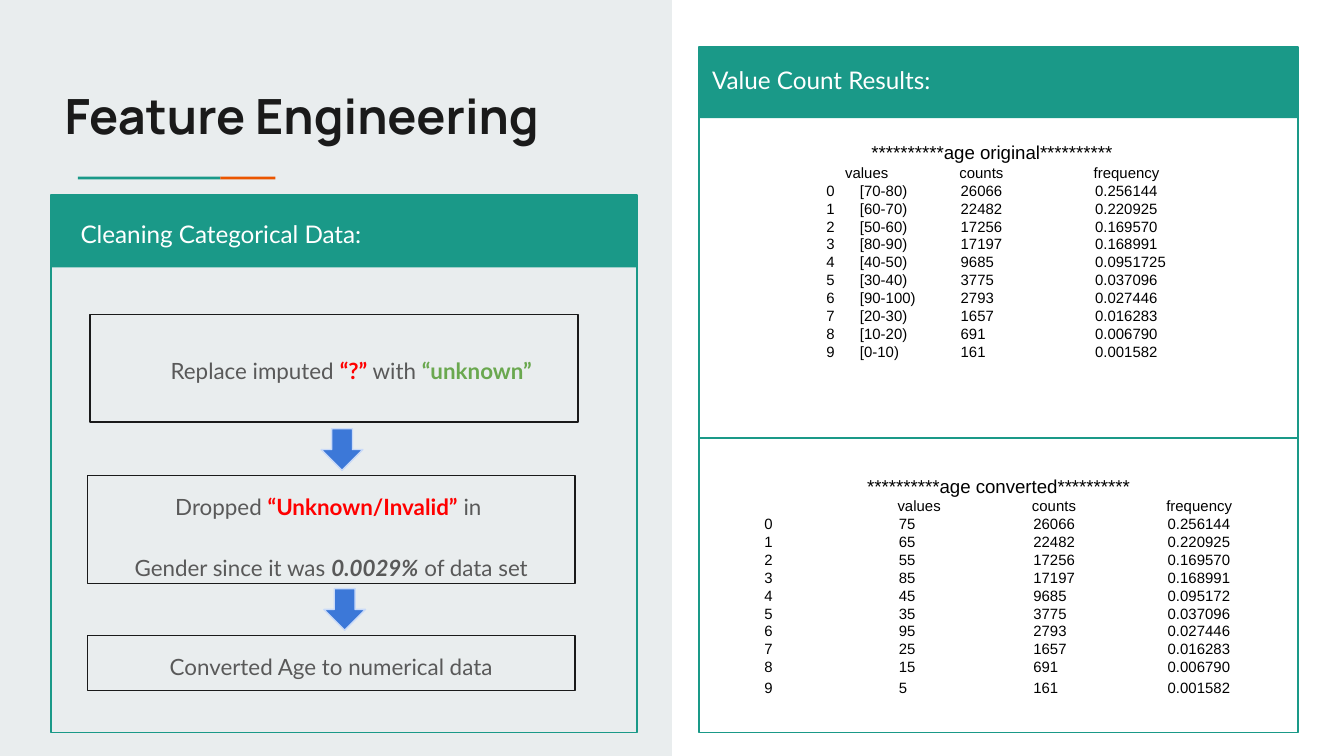
from lxml.etree import SubElement
from pptx import Presentation
from pptx.dml.color import RGBColor
from pptx.enum.shapes import MSO_SHAPE
from pptx.enum.text import MSO_ANCHOR, MSO_AUTO_SIZE, PP_ALIGN
from pptx.oxml.ns import qn
from pptx.util import Inches, Pt

UNIT = 0.1  # grid of 100 columns by 56.2 rows
TEAL, ORANGE, PALE, WHITE = "1A9988", "EB5600", "E9EDEE", "FFFFFF"
INK, GREY, BLACK, RED, GREEN = "1A1A1A", "595959", "000000", "FF0000", "6AA84F"
BLUE, LIGHT_BLUE = "3C78D8", "C9DAF8"

COUNTS = [26066, 22482, 17256, 17197, 9685, 3775, 2793, 1657, 691, 161]
SHARES = ["0.256144", "0.220925", "0.169570", "0.168991", "0.095172",
          "0.037096", "0.027446", "0.016283", "0.006790", "0.001582"]
RANGES = ["[70-80)", "[60-70)", "[50-60)", "[80-90)", "[40-50)",
          "[30-40)", "[90-100)", "[20-30)", "[10-20)", "[0-10)"]
AGES = [75, 65, 55, 85, 45, 35, 95, 25, 15, 5]


def colour(hex_text):
    return RGBColor.from_string(hex_text)


def grid(n):
    return Inches(n * UNIT)


def add_shape(s, box, fill=None, line=None, kind=MSO_SHAPE.RECTANGLE):
    sp = s.shapes.add_shape(kind, *map(grid, box))
    sp.shadow.inherit = False
    if fill:
        sp.fill.solid()
        sp.fill.fore_color.rgb = colour(fill)
    else:
        sp.fill.background()
    if line:
        sp.line.color.rgb = colour(line)
        sp.line.width = Pt(0.75)
    else:
        sp.line.fill.background()
    return sp


def set_frame(sp, anchor=MSO_ANCHOR.TOP, left=1):
    tf = sp.text_frame
    tf.word_wrap = True
    tf.auto_size = MSO_AUTO_SIZE.NONE
    tf.vertical_anchor = anchor
    tf.margin_left = grid(left)
    tf.margin_right = tf.margin_top = tf.margin_bottom = grid(1)
    return tf


def next_paragraph(tf, align, spacing=1.0):
    first = tf.paragraphs[0]
    p = tf.add_paragraph() if first.runs else first
    p.alignment = align
    p.line_spacing = spacing
    return p


def add_run(p, text, size, font, color, bold=False, italic=False):
    r = p.add_run()
    r.text = text
    r.font.size, r.font.name = Pt(size), font
    r.font.color.rgb = colour(color)
    r.font.bold, r.font.italic = bold, italic


def add_tabs(p, stops):
    tabs = SubElement(p._p.get_or_add_pPr(), qn("a:tabLst"))
    for stop in stops:
        SubElement(tabs, qn("a:tab"), pos=str(grid(stop)), algn="l")


def add_heading(s, box, text, left=1, anchor=MSO_ANCHOR.TOP):
    sp = add_shape(s, box, TEAL)
    p = next_paragraph(set_frame(sp, anchor, left), PP_ALIGN.LEFT, 1.15)
    add_run(p, text, 13, "Lato", WHITE)


def add_title(s, box):
    x, y, w, h = box
    title = s.shapes.title
    title.left, title.top, title.width, title.height = map(grid, box)
    p = next_paragraph(set_frame(title), PP_ALIGN.LEFT)
    add_run(p, "Feature Engineering", 26, "Manrope", INK, bold=True)
    rule_top = y + h + 1.35
    add_shape(s, (x + 2, rule_top, 10.6, 0.2), TEAL)
    add_shape(s, (x + 12.6, rule_top, 4.1, 0.2), ORANGE)


def add_step(s, box, lines, align=PP_ALIGN.CENTER, left=1, anchor=MSO_ANCHOR.TOP):
    """Lines are lists of (text, colour, bold, italic) runs."""
    tf = set_frame(add_shape(s, box, PALE, INK), anchor, left)
    for i, line in enumerate(lines):
        p = next_paragraph(tf, align, 1.15)
        if i:
            p.space_before = Pt(16)
        for text, *style in line:
            add_run(p, text, 12, "Lato", *style)


def add_cleaning_panel(s, box):
    x, y, w, h = box
    add_shape(s, box, line=TEAL)
    add_heading(s, (x, y, w, 5.4), "Cleaning Categorical Data:", 2.2, MSO_ANCHOR.MIDDLE)
    add_step(s, (x + 2.9, y + 8.9, 36.3, 8),
             [[("Replace imputed ", GREY), ("“?”", RED, True),
               (" with ", GREY), ("“unknown”", GREEN, True)]],
             PP_ALIGN.LEFT, 6, MSO_ANCHOR.MIDDLE)
    add_step(s, (x + 2.7, y + 20.9, 36.3, 8),
             [[("Dropped ", GREY), ("“Unknown/Invalid”", RED, True), (" in ", GREY)],
              [("Gender since it was ", GREY), ("0.0029%", GREY, True, True),
               (" of data set", GREY)]])
    add_step(s, (x + 2.7, y + 32.8, 36.3, 4.1),
             [[("Converted Age to numerical data", GREY)]])
    for dx, dy in ((20.1, 17.4), (20.3, 29.3)):
        add_shape(s, (x + dx, y + dy, 3.1, 3.1), BLUE, LIGHT_BLUE, MSO_SHAPE.DOWN_ARROW)


def add_listing(sp, title, values, shares, stops, head_stops, anchor):
    """Fills a shape with a starred title and tab-aligned value counts."""
    tf = set_frame(sp, anchor)
    p = next_paragraph(tf, PP_ALIGN.CENTER)
    add_run(p, f"**********{title}**********", 10, "Arial", BLACK)
    p = next_paragraph(tf, PP_ALIGN.LEFT)
    add_tabs(p, head_stops)
    add_run(p, "\tvalues\tcounts\tfrequency", 8, "Arial", BLACK)
    for i, row in enumerate(zip(values, COUNTS, shares)):
        p = next_paragraph(tf, PP_ALIGN.LEFT)
        add_tabs(p, stops)
        add_run(p, "\t" + "\t".join(map(str, (i, *row))), 8, "Arial", BLACK)
    p.line_spacing = 1.15 if anchor == MSO_ANCHOR.MIDDLE else 1.0


def add_results_panel(s, box):
    x, y, w, h = box
    split = 29.1
    text = s.shapes.add_textbox(*map(grid, (x + 0.6, y + 6, 42.4, 23)))
    original = SHARES[:4] + ["0.0951725"] + SHARES[5:]
    add_listing(text, "age original", RANGES, original, (7.9, 10.4, 17.9, 27.9),
                (9.3, 17.8, 27.8), MSO_ANCHOR.TOP)
    add_heading(s, (x, y, w, 5.3), "Value Count Results:")
    add_shape(s, (x, y, w, split), line=TEAL)
    lower = add_shape(s, (x, y + split, w, h - split), line=TEAL)
    add_listing(lower, "age converted", AGES, SHARES, (3.9, 13.9, 23.9, 33.9),
                (13.8, 23.8, 33.8), MSO_ANCHOR.MIDDLE)


def main():
    prs = Presentation()
    prs.slide_width, prs.slide_height = grid(100), grid(56.25)
    s = prs.slides.add_slide(prs.slide_layouts[5])
    backdrop = add_shape(s, (0, 0, 50, 56.25), PALE)
    s.shapes._spTree.insert(2, backdrop._element)
    add_title(s, (3.8, 5.4, 40.1, 6.4))
    add_cleaning_panel(s, (3.8, 14.5, 43.6, 40))
    add_results_panel(s, (52, 3.5, 44.6, 51))
    prs.save("out.pptx")


if __name__ == "__main__":
    main()
